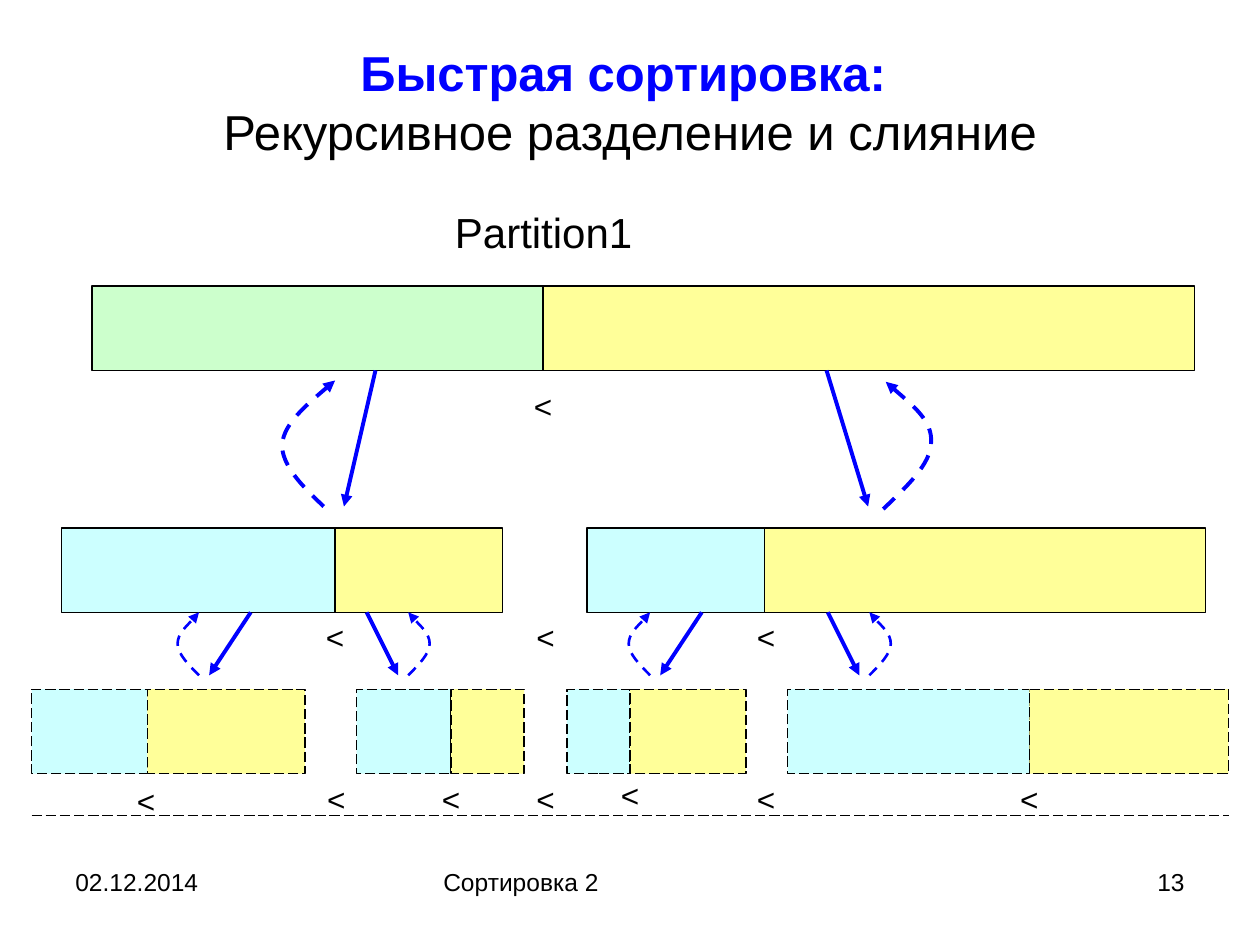
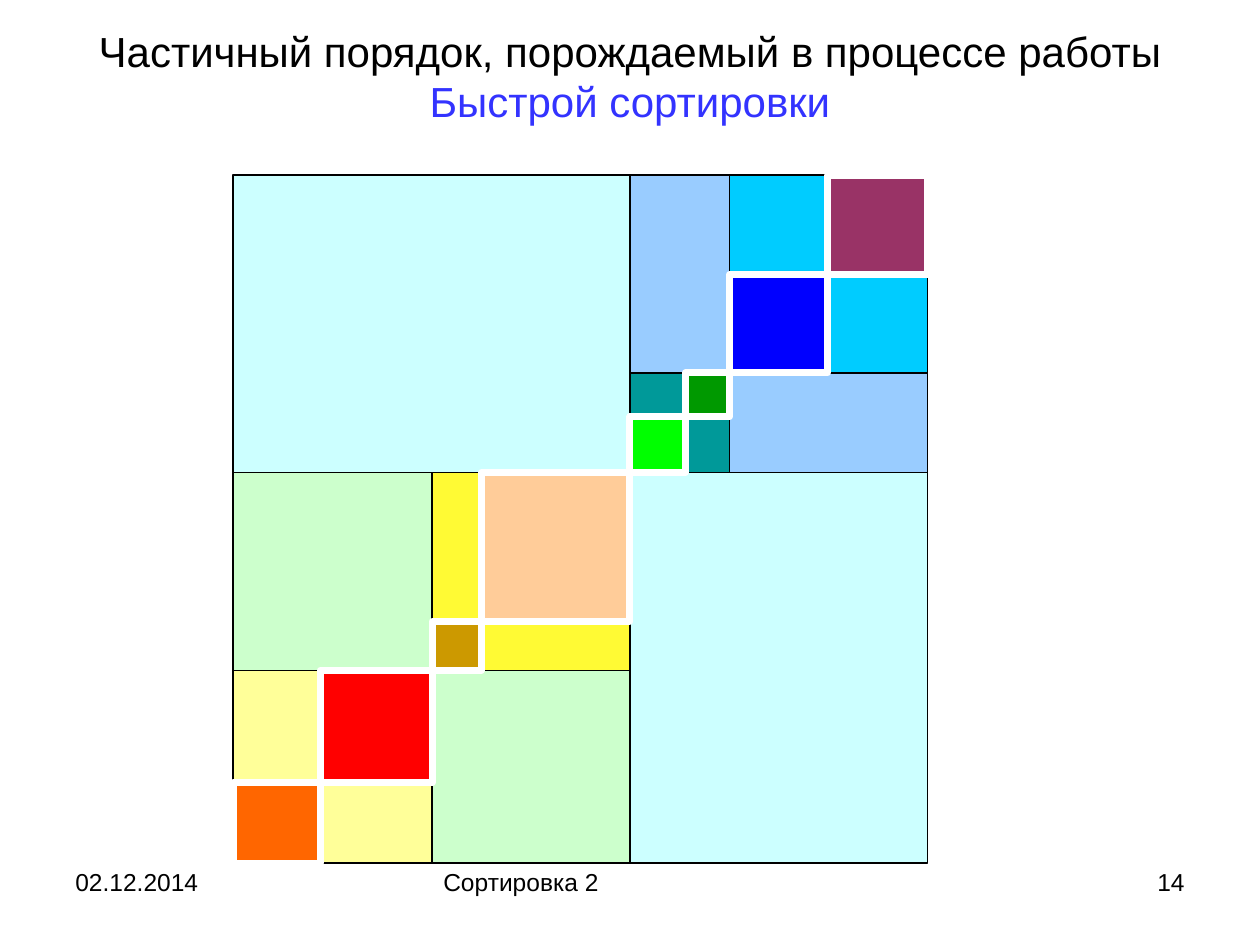
from dataclasses import dataclass
from typing import NamedTuple

from lxml import etree
from pptx import Presentation
from pptx import util as u
from pptx.dml.color import RGBColor
from pptx.enum import dml, shapes, text
from pptx.oxml import ns

FONT = "Arial"
BLACK, WHITE, BLUE = "000000", "FFFFFF", "0000FF"
GREEN, YELLOW, CYAN = "CCFFCC", "FFFF99", "CCFFFF"
LEFT, CENTER, RIGHT = text.PP_ALIGN.LEFT, text.PP_ALIGN.CENTER, text.PP_ALIGN.RIGHT
BAR_HEIGHT = 0.67
LESS_WIDTH = 0.67


class Point(NamedTuple):
    x: float
    y: float


class Area(NamedTuple):
    left: float
    top: float
    width: float
    height: float


class Span(NamedTuple):
    text: str
    size: float
    color: str = BLACK
    bold: bool = False


@dataclass(frozen=True)
class Stroke:
    color: str
    width: float
    dash: dml.MSO_LINE | None = None
    arrow: bool = False


@dataclass(frozen=True)
class Bar:
    left: float
    split: float
    right: float
    color: str = CYAN


@dataclass(frozen=True)
class Level:
    top: float
    bars: list[Bar]
    stroke: Stroke


@dataclass(frozen=True)
class Block:
    first: int
    last: int
    color: str


THIN = Stroke(BLACK, 0.75)
THIN_DASH = Stroke(BLACK, 0.75, dml.MSO_LINE.LONG_DASH)
THICK_WHITE = Stroke(WHITE, 4)
DESCEND = Stroke(BLUE, 2.25, arrow=True)
RETURN_LARGE = Stroke(BLUE, 2.25, dml.MSO_LINE.DASH, True)
RETURN_SMALL = Stroke(BLUE, 1.5, dml.MSO_LINE.DASH, True)

LEVELS = [
    Level(2.27, [Bar(0.73, 4.31, 9.48, GREEN)], THIN),
    Level(4.19, [Bar(0.49, 2.66, 3.99), Bar(4.66, 6.07, 9.57)], THIN),
    Level(5.47, [Bar(0.25, 1.17, 2.42), Bar(2.83, 3.58, 4.16),
                 Bar(4.5, 5, 5.92), Bar(6.25, 8.17, 9.75)], THIN_DASH),
]
LESS_SIGNS = [
    Point(4.31, 3.02),
    Point(2.66, 4.86), Point(4.33, 4.86), Point(6.08, 4.86),
    Point(1.16, 6.16), Point(2.67, 6.14), Point(3.58, 6.14), Point(4.33, 6.14),
    Point(5, 6.11), Point(6.08, 6.14), Point(8.17, 6.14),
]
LARGE_ARROWS = [(Point(2.98, 2.94), Point(2.73, 4.02)),
                (Point(6.56, 2.94), Point(6.89, 4.02))]
LARGE_RETURNS = [
    [Point(2.57, 4.02), Point(2.4, 3.86), Point(2.23, 3.69), Point(2.24, 3.52),
     Point(2.26, 3.36), Point(2.46, 3.19), Point(2.66, 3.02)],
    [Point(7.01, 4.04), Point(7.2, 3.86), Point(7.39, 3.68), Point(7.39, 3.51),
     Point(7.4, 3.34), Point(7.21, 3.19), Point(7.03, 3.03)],
]
SMALL_RETURN = [Point(0, 5.36), Point(0.08, 5.28), Point(0.17, 5.19), Point(0.17, 5.11),
                Point(0.17, 5.03), Point(0.03, 4.9), Point(0, 4.86)]
SMALL_ARROWS = [(1.99, 1.66), (5.57, 5.24), (2.91, 3.16), (6.57, 6.82)]

CUTS_X = [1.85, 2.54, 3.43, 3.82, 5, 5.44, 5.79, 6.57, 7.36]
CUTS_Y = [6.85, 6.21, 5.32, 4.93, 3.75, 3.31, 2.96, 2.18, 1.39]
PARTS = [
    Block(0, 8, CYAN), Block(0, 4, GREEN), Block(4, 8, "99CCFF"),
    Block(0, 2, YELLOW), Block(2, 4, "FFFA34"),
    Block(6, 8, "00CCFF"), Block(4, 6, "009999"),
]
LEAF_COLORS = ["FF6600", "FF0000", "CC9900", "FFCC99",
               "00FF00", "009900", BLUE, "993366"]


def rgb(color: str) -> RGBColor:
    return RGBColor.from_string(color)


def inches(values) -> list[u.Length]:
    return [u.Inches(value) for value in values]


def style_line(shape, stroke: Stroke) -> None:
    line = shape.line
    line.color.rgb = rgb(stroke.color)
    line.width = u.Pt(stroke.width)
    if stroke.dash is not None:
        line.dash_style = stroke.dash
    if stroke.arrow:
        etree.SubElement(line._get_or_add_ln(), ns.qn("a:tailEnd"), type="triangle")


def add_rect(page, area: Area, color: str, stroke: Stroke) -> None:
    rect = page.shapes.add_shape(shapes.MSO_SHAPE.RECTANGLE, *inches(area))
    rect.shadow.inherit = False
    rect.fill.solid()
    rect.fill.fore_color.rgb = rgb(color)
    style_line(rect, stroke)


def add_line(page, start: Point, end: Point, stroke: Stroke) -> None:
    line = page.shapes.add_connector(shapes.MSO_CONNECTOR.STRAIGHT, *inches(start + end))
    style_line(line, stroke)
    etree.SubElement(line._element.spPr, ns.qn("a:effectLst"))


def add_curve(page, points: list[Point], stroke: Stroke) -> None:
    start, *rest = [inches(point) for point in points]
    builder = page.shapes.build_freeform(*start)
    builder.add_line_segments(rest, close=False)
    curve = builder.convert_to_shape()
    curve.shadow.inherit = False
    curve.fill.background()
    style_line(curve, stroke)
    outline = curve._element.spPr.find(".//" + ns.qn("a:path"))
    steps = outline.findall(ns.qn("a:lnTo"))
    for first in range(0, len(steps), 3):
        bend = etree.SubElement(outline, ns.qn("a:cubicBezTo"))
        for step in steps[first:first + 3]:
            bend.append(step[0])
            outline.remove(step)


def add_span(para, span: Span) -> None:
    run = para.add_run()
    run.text = span.text
    font = run.font
    font.name, font.size, font.bold = FONT, u.Pt(span.size), span.bold
    font.color.rgb = rgb(span.color)


def add_text(page, area: Area, span: Span, align=LEFT) -> None:
    box = page.shapes.add_textbox(*inches(area))
    box.text_frame.word_wrap = True
    para = box.text_frame.paragraphs[0]
    para.alignment = align
    add_span(para, span)


def set_title(page, area: Area, paras: list[list[Span]],
              spacing: float = 1, before: float = 0) -> None:
    title = page.shapes.title
    title.left, title.top, title.width, title.height = inches(area)
    frame = title.text_frame
    frame.word_wrap = True
    frame.auto_size = text.MSO_AUTO_SIZE.NONE
    frame.vertical_anchor = text.MSO_ANCHOR.MIDDLE
    for index, spans in enumerate(paras):
        para = frame.add_paragraph() if index else frame.paragraphs[0]
        para.alignment = CENTER
        para.line_spacing = spacing
        para.space_before = u.Pt(before if index else 0)
        for span in spans:
            add_span(para, span)


def add_page(deck, number: int):
    page = deck.slides.add_slide(deck.slide_layouts[5])
    footers = [(0.5, 2.33, "02.12.2014", LEFT),
               (3.42, 3.17, "Сортировка 2", LEFT),
               (7.17, 2.33, str(number), RIGHT)]
    for left, width, words, align in footers:
        add_text(page, Area(left, 6.83, width, 0.52), Span(words, 14), align)
    return page


def draw_recursion(deck) -> None:
    page = add_page(deck, 13)
    set_title(page, Area(0.5, 0.35, 9, 1),
              [[Span("Быстрая сортировка: ", 28, BLUE, True)],
               [Span("Рекурсивное разделение и слияние", 28)]], 0.8, 7)
    add_text(page, Area(2.98, 1.59, 2.67, 0.5), Span("Partition1", 24), CENTER)

    for level in LEVELS:
        for bar in level.bars:
            for left, right, color in ((bar.left, bar.split, bar.color),
                                       (bar.split, bar.right, YELLOW)):
                area = Area(left, level.top, right - left, BAR_HEIGHT)
                add_rect(page, area, color, level.stroke)

    for start, end in LARGE_ARROWS:
        add_line(page, start, end, DESCEND)
    for points in LARGE_RETURNS:
        add_curve(page, points, RETURN_LARGE)
    for start, end in SMALL_ARROWS:
        add_line(page, Point(start, 4.86), Point(end, 5.36), DESCEND)
        side = 1 if end > start else -1
        origin = end + side * 0.08
        points = [Point(origin + side * point.x, point.y) for point in SMALL_RETURN]
        add_curve(page, points, RETURN_SMALL)

    add_line(page, Point(0.25, 6.47), Point(9.75, 6.47), THIN_DASH)
    for sign in LESS_SIGNS:
        area = Area(sign.x - LESS_WIDTH / 2, sign.y, LESS_WIDTH, 0.4)
        add_text(page, area, Span("<", 18), CENTER)


def draw_partial_order(deck) -> None:
    page = add_page(deck, 14)
    set_title(page, Area(0.5, 0.3, 9, 0.6),
              [[Span("Частичный порядок, порождаемый в процессе работы ", 24),
                Span("Быстрой сортировки", 24, "3333FF")]])
    leaves = [Block(index, index + 1, color) for index, color in enumerate(LEAF_COLORS)]
    for blocks, stroke in ((PARTS, THIN), (leaves, THICK_WHITE)):
        for block in blocks:
            left, right = CUTS_X[block.first], CUTS_X[block.last]
            bottom, top = CUTS_Y[block.first], CUTS_Y[block.last]
            add_rect(page, Area(left, top, right - left, bottom - top), block.color, stroke)


def main() -> None:
    deck = Presentation()
    deck.slide_width, deck.slide_height = u.Inches(10), u.Inches(7.5)
    draw_recursion(deck)
    draw_partial_order(deck)
    deck.save("out.pptx")


if __name__ == "__main__":
    main()
